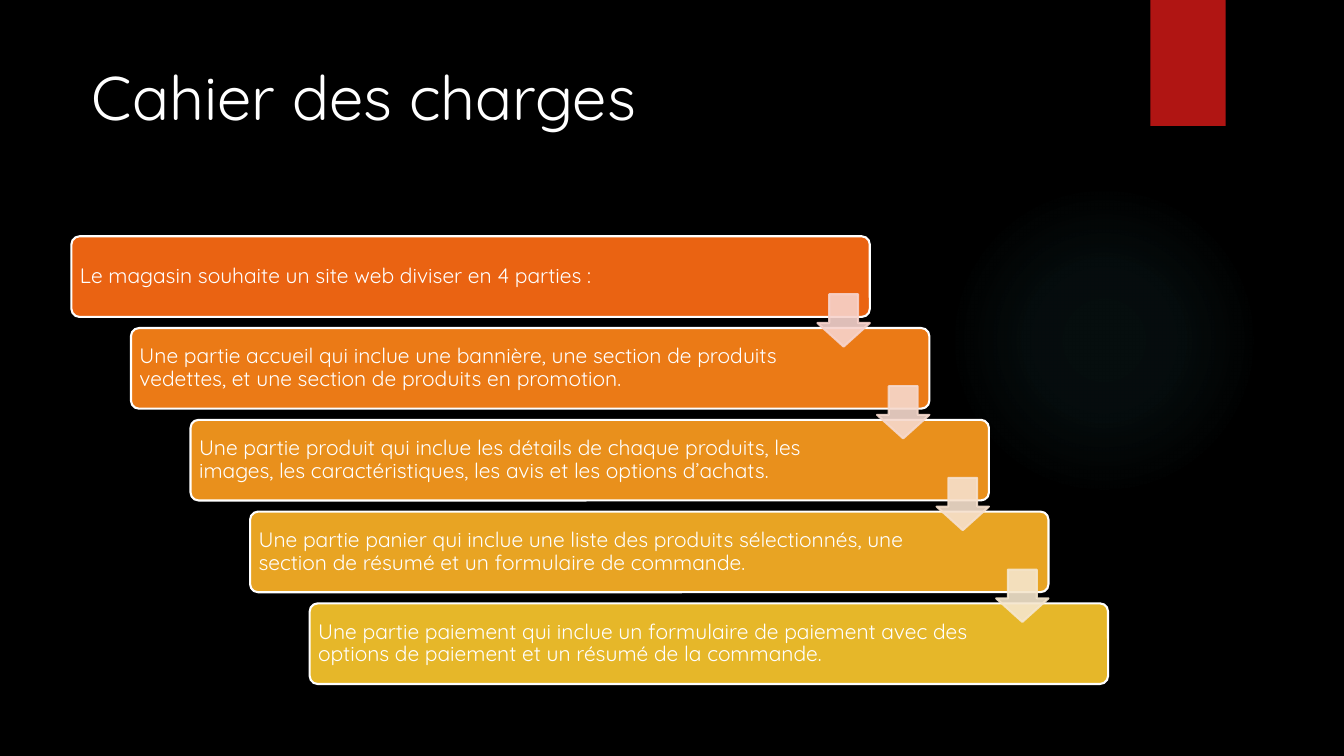
import pptx
import pptx.dml.color
import pptx.enum.shapes
import pptx.enum.text
import pptx.oxml
import pptx.oxml.ns
import pptx.util
from lxml import etree

Pt = pptx.util.Pt
SHAPES = pptx.enum.shapes.MSO_SHAPE
ANCHORS = pptx.enum.text.MSO_ANCHOR
COLORS = {"background": "000000", "text": "FFFFFF", "ribbon": "B01513", "glow": "50B9C1"}
STEPS = [
    ("EA6312", "Le magasin souhaite un site web diviser en 4 parties :"),
    ("EB7A16", "Une partie accueil qui inclue une bannière, une section de produits "
               "vedettes, et une section de produits en promotion."),
    ("E9901C", "Une partie produit qui inclue les détails de chaque produits, les "
               "images, les caractéristiques, les avis et les options d’achats."),
    ("E8A423", "Une partie panier qui inclue une liste des produits sélectionnés, une "
               "section de résumé et un formulaire de commande."),
    ("E6B729", "Une partie paiement qui inclue un formulaire de paiement avec des "
               "options de paiement et un résumé de la commande."),
]
ARROW_COLORS = ["F7D3CC", "F6D9CD", "F6E0CD", "F5E6CD"]
STEP_RIGHT, STEP_DOWN = 42.55, 65.55


def add_filled_shape(kind, left, top, width, height, fill, line=None):
    shape = slide.shapes.add_shape(kind, Pt(left), Pt(top), Pt(width), Pt(height))
    shape.shadow.inherit = False
    shape.fill.solid()
    shape.fill.fore_color.rgb = pptx.dml.color.RGBColor.from_string(fill)
    if line:
        shape.line.color.rgb = pptx.dml.color.RGBColor.from_string(line)
        shape.line.width = Pt(1.5)
    else:
        shape.line.fill.background()
    return shape


def write_text(shape, text, size, anchor, margins, line_spacing=1.0):
    """Fill a shape with one left-aligned paragraph; margins are left, top, right, bottom."""
    frame = shape.text_frame
    frame.word_wrap = True
    frame.auto_size = pptx.enum.text.MSO_AUTO_SIZE.NONE
    frame.vertical_anchor = anchor
    frame.margin_left, frame.margin_top, frame.margin_right, frame.margin_bottom = map(Pt, margins)
    frame.text = text
    paragraph = frame.paragraphs[0]
    paragraph.alignment = pptx.enum.text.PP_ALIGN.LEFT
    paragraph.line_spacing = line_spacing
    paragraph.font.name = "Quicksand"
    paragraph.font.size = Pt(size)
    paragraph.font.color.rgb = pptx.dml.color.RGBColor.from_string(COLORS["text"])


presentation = pptx.Presentation()
presentation.slide_width, presentation.slide_height = Pt(960), Pt(540)
slide = presentation.slides.add_slide(presentation.slide_layouts[5])
slide.background.fill.solid()
slide.background.fill.fore_color.rgb = pptx.dml.color.RGBColor.from_string(COLORS["background"])

# Background glow: a radial gradient that fades out
glow = add_filled_shape(SHAPES.OVAL, 677.5, 131.8, 221.8, 221.8, COLORS["glow"])
stops = "".join(
    f'<a:gs pos="{position * 1000}"><a:srgbClr val="{COLORS["glow"]}">'
    f'<a:alpha val="{alpha * 1000}"/></a:srgbClr></a:gs>'
    for position, alpha in [(0, 7), (36, 6), (69, 0)])
gradient = pptx.oxml.parse_xml(
    f'<a:gradFill {pptx.oxml.ns.nsdecls("a")}><a:gsLst>{stops}</a:gsLst><a:path path="circle">'
    '<a:fillToRect l="50000" t="50000" r="50000" b="50000"/></a:path></a:gradFill>')
properties = glow.element.spPr
properties.replace(properties.find(pptx.oxml.ns.qn("a:solidFill")), gradient)

add_filled_shape(SHAPES.RECTANGLE, 821.8, 0, 53.8, 90, COLORS["ribbon"])

title = slide.shapes.title
title.left, title.top, title.width, title.height = Pt(58.5), Pt(38.2), Pt(476), Pt(60.5)
write_text(title, "Cahier des charges", size=44, anchor=ANCHORS.TOP, margins=(7.2, 3.6, 7.2, 3.6))

# Staircase of steps
for index, (color, text) in enumerate(STEPS):
    step = add_filled_shape(SHAPES.ROUNDED_RECTANGLE, 51 + index * STEP_RIGHT,
                            168.8 + index * STEP_DOWN, 570.3, 57.6, color, COLORS["text"])
    step.adjustments[0] = 0.1
    write_text(step, text, size=15, anchor=ANCHORS.MIDDLE, margins=(4.4, 4.4, 84.4, 4.4),
               line_spacing=0.9)

# Translucent arrows that link each step to the next
for index, color in enumerate(ARROW_COLORS):
    arrow = add_filled_shape(SHAPES.DOWN_ARROW, 583.9 + index * STEP_RIGHT,
                             210.2 + index * STEP_DOWN, 37.4, 37.4, color, color)
    arrow.adjustments[0], arrow.adjustments[1] = 0.55, 0.45
    for color_element in arrow.element.spPr.iter(pptx.oxml.ns.qn("a:srgbClr")):
        etree.SubElement(color_element, pptx.oxml.ns.qn("a:alpha"), val="90000")

presentation.save("out.pptx")
